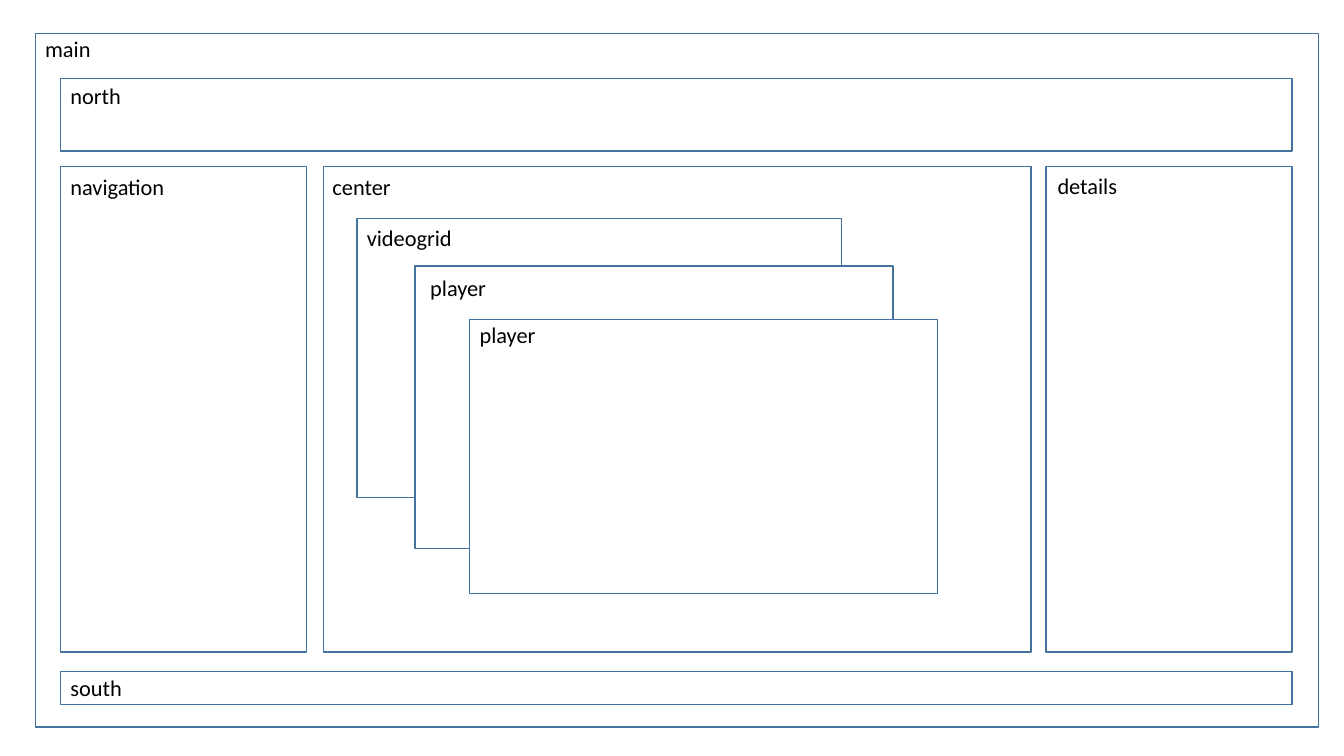
"""Build a wireframe slide of nested, labelled layout regions."""
from pptx import Presentation
from pptx.dml.color import RGBColor
from pptx.enum.shapes import MSO_SHAPE
from pptx.enum.text import MSO_ANCHOR
from pptx.util import Pt

RECTANGLE = MSO_SHAPE.RECTANGLE
TOP = MSO_ANCHOR.TOP
COLORS = {"panel": "FFFFFF", "border": "43739E", "text": "000000"}
FONT = {"name": "Calibri", "size": Pt(16)}
PARAGRAPH = {"line_spacing": 0.9}
FRAME = {"word_wrap": True, "vertical_anchor": TOP}
LABEL_W, LABEL_H = 143.3, 20.2

LEFT, FULL_W = 43.2, 879.8
SIDE_W = 175.7
BODY_TOP, BODY_H = 118.8, 347

REGIONS = [
    ("main", (25.2, 23.8, 916.6, 495.4), (0, 0)),
    ("north", (LEFT, 56.2, FULL_W, 51.8), (0, 1.4)),
    ("navigation", (LEFT, BODY_TOP, SIDE_W, BODY_H), (0, 3.6)),
    ("south", (LEFT, 479.5, FULL_W, 23.8), (0, 0.7)),
    ("details", (LEFT + FULL_W - SIDE_W, BODY_TOP, SIDE_W, BODY_H), (1, 2.9)),
    ("center", (231.1, BODY_TOP, 505.4, BODY_H), (-0.7, 3.6)),
    ("videogrid", (254.9, 156.2, 346.3, 199.4), (0, 2.2)),
    ("player", (296.6, 190.1, 341.3, 201.6), (3.6, 4.3)),
    ("player", (335.5, 228.2, 334.1, 195.8), (0, 0)),
]


def set_format(target, values):
    """Set each named attribute on the target."""
    for name, value in values.items():
        setattr(target, name, value)


def rgb(key):
    """Return the named colour."""
    return RGBColor.from_string(COLORS[key])


def add_panel(s, box):
    """Add an outlined rectangle."""
    sp = s.shapes.add_shape(RECTANGLE, *map(Pt, box))
    sp.shadow.inherit = False
    sp.fill.solid()
    sp.fill.fore_color.rgb = rgb("panel")
    sp.line.color.rgb = rgb("border")
    sp.line.width = Pt(1)


def add_label(s, text, left, top):
    """Add a region name as a text box."""
    sp = s.shapes.add_textbox(Pt(left), Pt(top), Pt(LABEL_W), Pt(LABEL_H))
    tf = sp.text_frame
    set_format(tf, FRAME)
    p = tf.paragraphs[0]
    set_format(p, PARAGRAPH)
    r = p.add_run()
    r.text = text
    set_format(r.font, FONT)
    r.font.color.rgb = rgb("text")


def main():
    """Create the slide and save it."""
    prs = Presentation()
    set_format(prs, {"slide_width": Pt(960), "slide_height": Pt(540)})
    s = prs.slides.add_slide(prs.slide_layouts[6])
    for text, box, (dx, dy) in REGIONS:
        add_panel(s, box)
        add_label(s, text, box[0] + dx, box[1] + dy)
    prs.save("out.pptx")


main()
